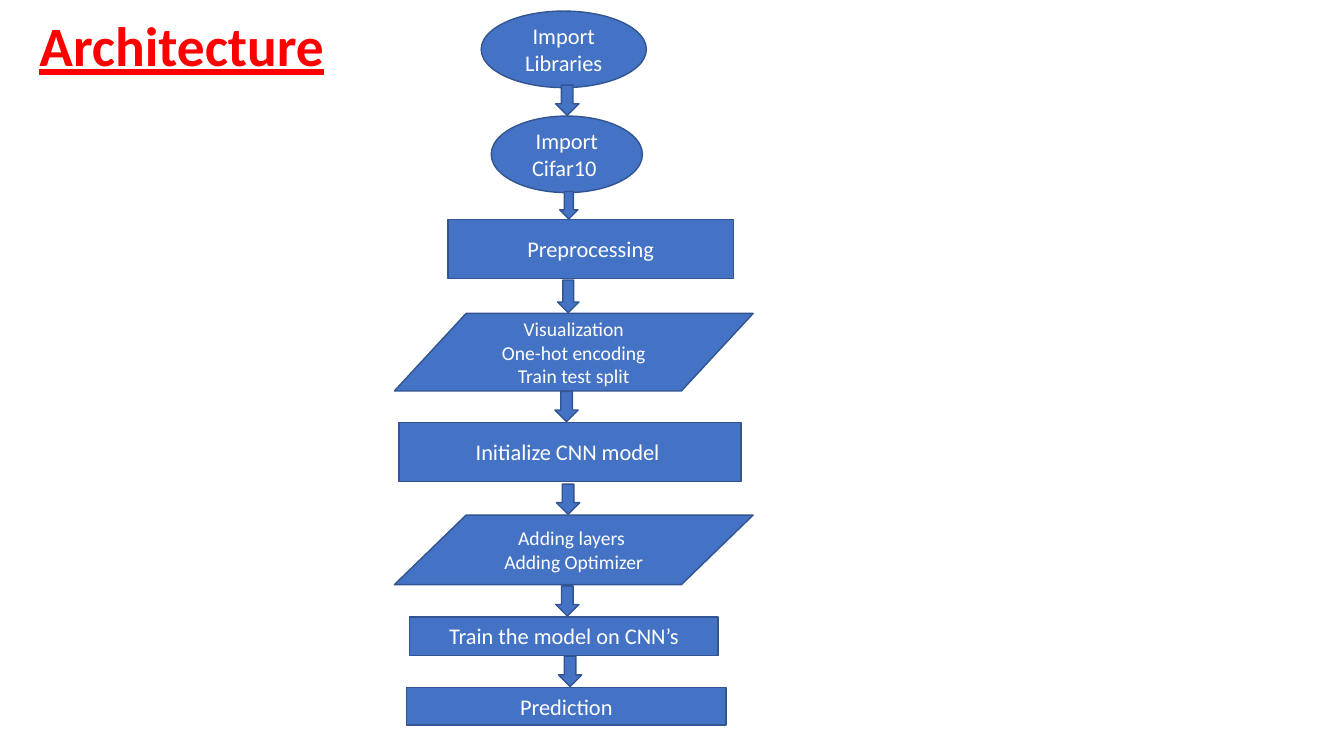
from dataclasses import dataclass
from itertools import pairwise
from pptx import Presentation
from pptx.dml.color import RGBColor as Rgb
from pptx.enum.shapes import MSO_SHAPE as Kind
from pptx.enum.text import MSO_ANCHOR as Anchor, MSO_AUTO_SIZE as Fit, PP_ALIGN as Align
from pptx.util import Pt


@dataclass(frozen=True)
class Theme:
    """Colours, font and type sizes of the slide."""
    font: str = "Calibri"
    head: Rgb = Rgb(255, 0, 0)
    fill: Rgb = Rgb(0x44, 0x72, 0xC4)
    edge: Rgb = Rgb(0x32, 0x54, 0x91)
    text: Rgb = Rgb(255, 255, 255)
    title: float = 39.6
    large: float = 16
    small: float = 14


THEME = Theme()
OVAL, BOX, DATA = Kind.OVAL, Kind.FLOWCHART_PROCESS, Kind.FLOWCHART_DATA

STEPS = [
    (OVAL, (62, 0, 118, 54.7), ["Import Libraries"]),
    (OVAL, (69.2, 75, 108, 54.7), ["Import Cifar10 "]),
    (BOX, (38.2, 149, 204, 42), ["Preprocessing"]),
    (DATA, (0, 216, 256.3, 55.4), ["Visualization", "One-hot encoding", "Train test split"]),
    (BOX, (3.4, 293.8, 244.2, 42.4), ["Initialize CNN model "]),
    (DATA, (0, 360, 256.3, 49.7), ["Adding layers ", "Adding Optimizer"]),
    (BOX, (11, 432.7, 220.3, 27.4), ["Train the model on CNN’s"]),
    (BOX, (8.7, 483, 228.3, 27), ["Prediction"]),
]
ARROWS = [(123.5, 16.6, 21.6), (124.6, 13, 19.6), (124.2, 15.4, 23.4), (123, 16.6, 21.6),
          (124.1, 16.6, 21.6), (123.6, 16.6, 21.6), (125.5, 16.6, 21.6)]


def write(para, text, size, color):
    """Add one run to a paragraph and return its font."""
    run = para.add_run()
    run.text = text
    font = run.font
    font.name, font.size = THEME.font, Pt(size)
    font.color.rgb = color
    return font


def draw(slide, kind, left, top, width, height):
    """Add one filled and outlined shape."""
    shape = slide.shapes.add_shape(kind, Pt(left), Pt(top), Pt(width), Pt(height))
    shape.shadow.inherit = False
    shape.fill.solid()
    shape.fill.fore_color.rgb = THEME.fill
    shape.line.color.rgb = THEME.edge
    shape.line.width = Pt(1)
    return shape


def add_title(slide, left, top, width, height):
    """Place and format the title."""
    title = slide.shapes.title
    title.left, title.top = Pt(left), Pt(top)
    title.width, title.height = Pt(width), Pt(height)
    frame = title.text_frame
    frame.auto_size, frame.vertical_anchor = Fit.NONE, Anchor.MIDDLE
    para = frame.paragraphs[0]
    para.alignment, para.line_spacing = Align.LEFT, 0.9
    font = write(para, "Architecture", THEME.title, THEME.head)
    font.bold = font.underline = True


def add_step(slide, kind, box, lines):
    """Draw one step with its centred lines of text."""
    frame = draw(slide, kind, *box).text_frame
    frame.word_wrap, frame.vertical_anchor = True, Anchor.MIDDLE
    size = THEME.small if kind == DATA else THEME.large
    for row, line in enumerate(lines):
        para = frame.add_paragraph() if row else frame.paragraphs[0]
        para.alignment = Align.CENTER
        write(para, line, size, THEME.text)


def add_flow(slide, left, top):
    """Draw the steps and the arrows that lead to each next step."""
    for kind, (dx, dy, width, height), lines in STEPS:
        add_step(slide, kind, (left + dx, top + dy, width, height), lines)
    for (_, after), (mid, width, height) in zip(pairwise(STEPS), ARROWS):
        tip = top + after[1][1] - 0.5
        draw(slide, Kind.DOWN_ARROW, left + mid - width / 2, tip - height, width, height)


def main():
    """Build and save the slide."""
    deck = Presentation()
    deck.slide_width, deck.slide_height = Pt(960), Pt(540)
    slide = deck.slides.add_slide(deck.slide_layouts[5])
    add_title(slide, 21, 13.7, 239, 41.8)
    add_flow(slide, 281.7, 7.9)
    deck.save("out.pptx")


if __name__ == "__main__":
    main()
